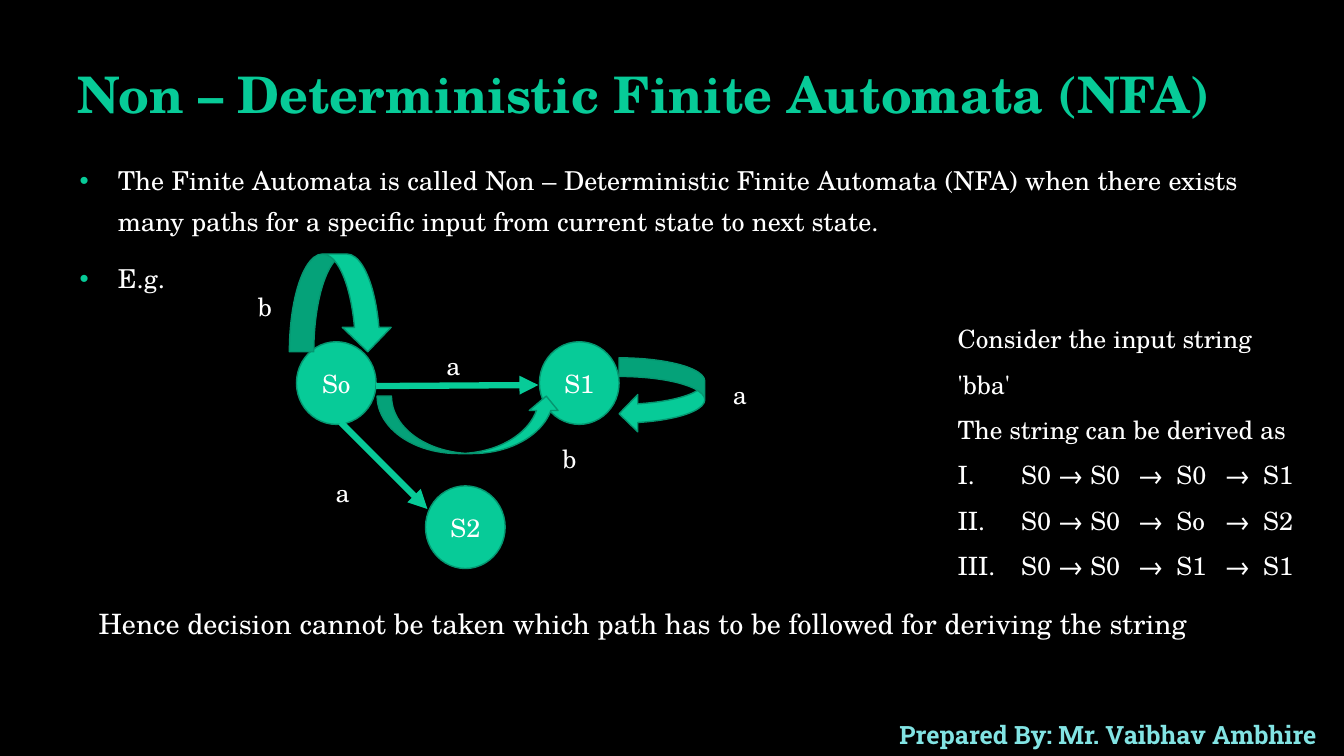
from lxml.etree import SubElement
from pptx import Presentation
from pptx.dml.color import RGBColor
from pptx.enum.shapes import MSO_CONNECTOR as Connector, MSO_SHAPE as Shape
from pptx.enum.text import MSO_ANCHOR as Anchor, PP_ALIGN as Align
from pptx.oxml.ns import qn
from pptx.util import Inches, Pt

BLACK = RGBColor(0x00, 0x00, 0x00)
WHITE = RGBColor(0xFF, 0xFF, 0xFF)
GREEN = RGBColor(0x07, 0xCB, 0x98)
DARK_GREEN = RGBColor(0x05, 0x96, 0x70)
AQUA = RGBColor(0x82, 0xE3, 0xE3)
SERIF = "TeX Gyre Schola"
SLAB = "Roboto Slab"
PATH_TABS = (0.63, 1.79, 2.17, 2.65, 3.03)


def write(frame, text, size=18, color=WHITE, font=SERIF, bold=False,
          align=Align.LEFT, anchor=Anchor.TOP, spacing=1.0, before=0):
    frame.word_wrap = True
    frame.vertical_anchor = anchor
    for index, line in enumerate(text.split("\n")):
        para = frame.add_paragraph() if index else frame.paragraphs[0]
        para.alignment = align
        para.line_spacing = spacing
        para.space_before = Pt(before)
        span = para.add_run()
        span.text = line
        span.font.size = Pt(size)
        span.font.name = font
        span.font.bold = bold
        span.font.color.rgb = color
    return frame.paragraphs


def add_text(page, box, text, **style):
    holder = page.shapes.add_textbox(*map(Inches, box))
    return write(holder.text_frame, text, **style)


def add_bullet(para, indent):
    props = para._p.get_or_add_pPr()
    props.set("marL", str(Inches(indent)))
    props.set("indent", str(-Inches(indent)))
    color = SubElement(props, qn("a:buClr"))
    SubElement(color, qn("a:srgbClr"), val=str(GREEN))
    SubElement(props, qn("a:buFont"), typeface="Arial")
    SubElement(props, qn("a:buChar"), char="•")


def add_tabs(para, stops):
    tabs = SubElement(para._p.get_or_add_pPr(), qn("a:tabLst"))
    for stop in stops:
        SubElement(tabs, qn("a:tab"), pos=str(Inches(stop)), algn="l")


def add_green_shape(page, kind, box):
    shape = page.shapes.add_shape(kind, *map(Inches, box))
    shape.shadow.inherit = False
    shape.fill.solid()
    shape.fill.fore_color.rgb = GREEN
    shape.line.color.rgb = DARK_GREEN
    shape.line.width = Pt(1)
    return shape


def add_arrow(page, *ends):
    arrow = page.shapes.add_connector(Connector.STRAIGHT, *map(Inches, ends))
    arrow.line.color.rgb = GREEN
    arrow.line.width = Pt(4.5)
    SubElement(arrow.line._get_or_add_ln(), qn("a:tailEnd"), type="triangle")
    SubElement(arrow._element.spPr, qn("a:effectLst"))


def add_definition(page, box):
    text = ("The Finite Automata is called Non – Deterministic Finite Automata (NFA) "
            "when there exists many paths for a specific input from current state "
            "to next state.\nE.g.")
    for para in add_text(page, box, text, size=18.6, align=Align.JUSTIFY,
                         spacing=1.3, before=12):
        add_bullet(para, 0.38)


def add_diagram(page, box):
    left, top = box[:2]
    states = (("So", 0.48, 0.87), ("S1", 2.89, 0.87), ("S2", 1.76, 2.3))
    for name, x, y in states:
        state = add_green_shape(page, Shape.OVAL, (left + x, top + y, 0.79, 0.82))
        frame = state.text_frame
        write(frame, name, align=Align.CENTER, anchor=Anchor.MIDDLE)

    for x1, y1, x2, y2 in ((1.27, 1.31, 2.88, 1.3), (0.92, 1.67, 1.78, 2.53)):
        add_arrow(page, left + x1, top + y1, left + x2, top + y2)

    curves = (
        (Shape.CURVED_LEFT_ARROW, 3.68, 1.03, 0.85, 0.74),
        (Shape.CURVED_DOWN_ARROW, 0.41, 0, 1.02, 0.97),
        (Shape.CURVED_UP_ARROW, 1.28, 1.41, 1.82, 0.57),
    )
    for kind, x, y, width, height in curves:
        add_green_shape(page, kind, (left + x, top + y, width, height))

    labels = (("a", 1.87, 0.91), ("a", 0.77, 2.17), ("a", 4.71, 1.19),
              ("b", 3.02, 1.83), ("b", 0, 0.32))
    for letter, x, y in labels:
        add_text(page, (left + x, top + y, 0.41, 0.4), letter)


def add_derivations(page, box):
    paths = (("I.", "S0", "S1"), ("II.", "So", "S2"), ("III.", "S1", "S1"))
    lines = ["Consider the input string 'bba'", "The string can be derived as"]
    lines += [f"{number}\tS0 → S0\t→\t{third}\t→\t{last}"
              for number, third, last in paths]
    paragraphs = add_text(page, box, "\n".join(lines), spacing=1.5)
    for para in paragraphs[2:]:
        add_tabs(para, PATH_TABS)


def build_page(page):
    page.background.fill.solid()
    page.background.fill.fore_color.rgb = BLACK
    add_text(page, (8.64, 7.09, 4.7, 0.4), "Prepared By: Mr. Vaibhav Ambhire",
             font=SLAB, color=AQUA, bold=True, align=Align.CENTER)
    add_text(page, (0.67, 0.45, 11.72, 1.03),
             "Non – Deterministic Finite Automata (NFA)", size=36, color=GREEN,
             bold=True, anchor=Anchor.MIDDLE, spacing=0.9)
    add_definition(page, (0.69, 1.49, 11.69, 1.56))
    add_diagram(page, (2.46, 2.52, 5.12, 3.12))
    add_text(page, (0.88, 5.8, 11.35, 0.54),
             "Hence decision cannot be taken which path has to be followed "
             "for deriving the string", size=20, spacing=1.5)
    add_derivations(page, (9.4, 3.01, 3.63, 2.32))


def main():
    deck = Presentation()
    deck.slide_width = Inches(13.33)
    deck.slide_height = Inches(7.5)
    build_page(deck.slides.add_slide(deck.slide_layouts[6]))
    deck.save("out.pptx")


if __name__ == "__main__":
    main()
